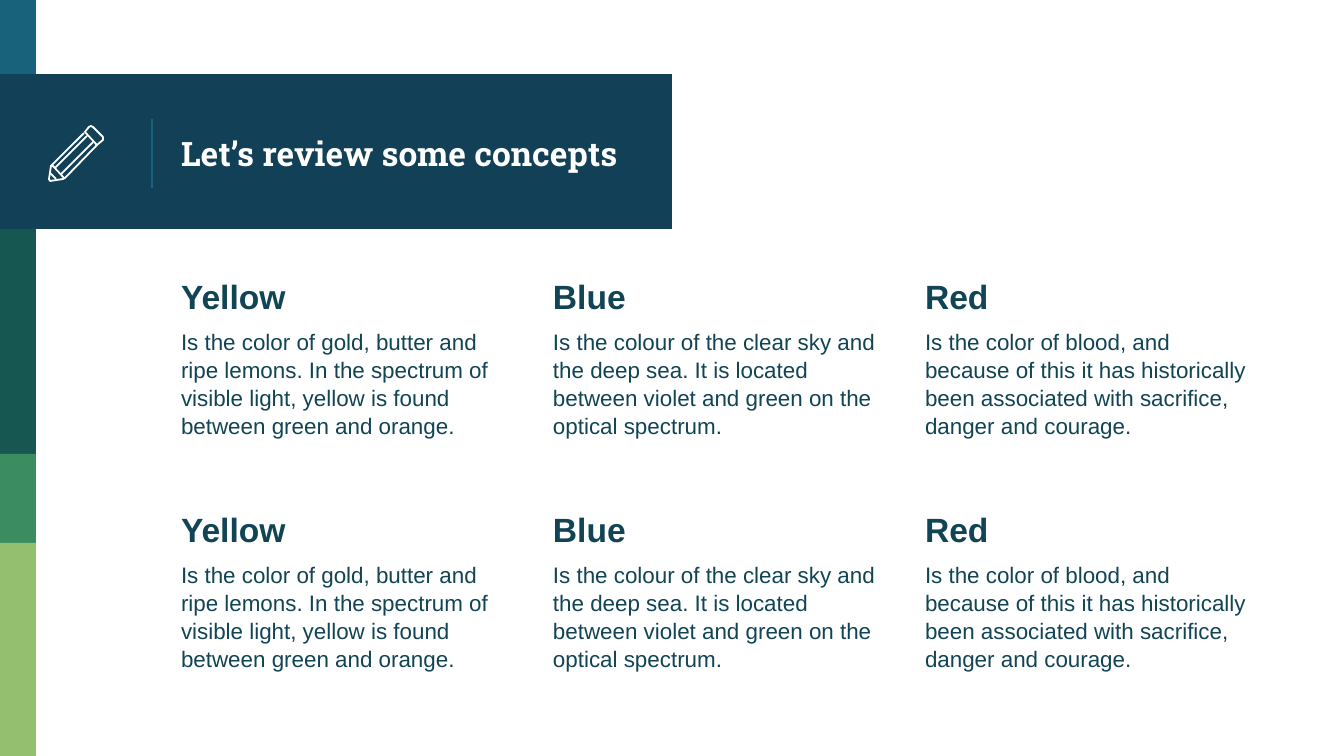
from dataclasses import dataclass

from lxml.etree import SubElement
from pptx import Presentation
from pptx.dml.color import RGBColor
from pptx.enum.shapes import MSO_CONNECTOR as Connector, MSO_SHAPE as Shape
from pptx.enum.text import MSO_ANCHOR as Anchor, MSO_AUTO_SIZE as AutoSize, PP_ALIGN as Align
from pptx.oxml.ns import qn
from pptx.util import Emu, Pt

SCALE = 914400 / 134.4  # EMU in one pixel
WIDTH, HEIGHT = 1344, 756
INSET = 13

WHITE = RGBColor(0xFF, 0xFF, 0xFF)
TEAL = RGBColor(0x18, 0x63, 0x7B)
NAVY = RGBColor(0x12, 0x40, 0x57)
FOREST = RGBColor(0x16, 0x57, 0x51)
GREEN = RGBColor(0x3B, 0x8D, 0x61)
LIME = RGBColor(0x94, 0xBF, 0x6E)
INK = RGBColor(0x11, 0x44, 0x54)


@dataclass
class Band:
    top: int
    bottom: int
    width: int
    color: RGBColor


@dataclass
class Concept:
    name: str
    meaning: str


@dataclass
class Stroke:
    points: list[tuple[int, int]]
    closed: bool = False


BANDS = [
    Band(0, 74, 36, TEAL),
    Band(74, 229, 672, NAVY),
    Band(229, 454, 36, FOREST),
    Band(454, 543, 36, GREEN),
    Band(543, HEIGHT, 36, LIME),
]

CONCEPTS = [
    Concept("Yellow", "Is the color of gold, butter and ripe lemons. In the spectrum of "
            "visible light, yellow is found between green and orange."),
    Concept("Blue", "Is the colour of the clear sky and the deep sea. It is located "
            "between violet and green on the optical spectrum."),
    Concept("Red", "Is the color of blood, and because of this it has historically "
            "been associated with sacrifice, danger and courage."),
]

PENCIL = [
    Stroke([(85, 132), (89, 127), (91, 126), (93, 127), (103, 137),
            (103, 140), (97, 145)], closed=True),  # eraser
    Stroke([(84, 133), (52, 165), (51, 166), (49, 179), (50, 181),
            (63, 179), (65, 178), (97, 145)]),  # body
    Stroke([(93, 142), (61, 174)]),
    Stroke([(55, 168), (87, 136)]),
    Stroke([(56, 179), (50, 173)]),  # lead
    Stroke([(52, 165), (64, 178)]),
]


def px(pixels: float) -> Emu:
    return Emu(round(pixels * SCALE))


def add_band(page, band: Band) -> None:
    shape = page.shapes.add_shape(Shape.RECTANGLE, 0, px(band.top), px(band.width),
                                  px(band.bottom - band.top))
    shape.shadow.inherit = False
    shape.fill.solid()
    shape.fill.fore_color.rgb = band.color
    shape.line.fill.background()


def add_divider(page, x: int, top: int, bottom: int) -> None:
    line = page.shapes.add_connector(Connector.STRAIGHT, px(x), px(top), px(x), px(bottom))
    line.line.color.rgb = TEAL
    line.line.width = Pt(0.75)
    SubElement(line.element.spPr, qn("a:effectLst"))


def add_stroke(group, stroke: Stroke) -> None:
    start, *rest = stroke.points
    builder = group.shapes.build_freeform(*start, scale=SCALE)
    builder.add_line_segments(rest, close=stroke.closed)
    shape = builder.convert_to_shape()
    shape.shadow.inherit = False
    shape.fill.background()
    shape.line.color.rgb = WHITE
    shape.line.width = Pt(0.96)


def set_frame(frame, anchor: Anchor) -> None:
    frame.word_wrap = True
    frame.auto_size = AutoSize.NONE
    frame.vertical_anchor = anchor
    frame.margin_left = frame.margin_right = px(INSET)
    frame.margin_top = frame.margin_bottom = px(INSET)


def set_font(para, name: str, size: int, bold: bool, color: RGBColor) -> None:
    para.alignment = Align.LEFT
    para.font.name = name
    para.font.size = Pt(size)
    para.font.bold = bold
    para.font.color.rgb = color


def place_title(page, text: str) -> None:
    title = page.shapes.title
    title.left, title.top, title.width, title.height = px(168), px(78), px(472), px(151)
    title.text_frame.text = text
    set_frame(title.text_frame, Anchor.MIDDLE)
    set_font(title.text_frame.paragraphs[0], "Roboto Slab", 18, True, WHITE)
    page.shapes.element.append(title.element)  # bring in front of the banner


def add_concept(page, concept: Concept, left: int, top: int) -> None:
    box = page.shapes.add_textbox(px(left), px(top), px(355), px(192))
    frame = box.text_frame
    frame.text = f"{concept.name}\n{concept.meaning}"
    set_frame(frame, Anchor.TOP)
    heading, body = frame.paragraphs
    set_font(heading, "Arial", 18, True, INK)
    set_font(body, "Arial", 12, False, INK)
    for para in frame.paragraphs:
        para.space_before = Pt(6)
        para.line_spacing = 1.04


deck = Presentation()
deck.slide_width, deck.slide_height = px(WIDTH), px(HEIGHT)
page = deck.slides.add_slide(deck.slide_layouts[5])

# Side stripe and banner
for band in BANDS:
    add_band(page, band)
add_divider(page, 152, 119, 188)
place_title(page, "Let’s review some concepts")

# Two rows of three concepts
for row in range(2):
    for column, concept in enumerate(CONCEPTS):
        add_concept(page, concept, 168 + 372 * column, 261 + 233 * row)

# Pencil icon
pencil = page.shapes.add_group_shape()
for stroke in PENCIL:
    add_stroke(pencil, stroke)

deck.save("out.pptx")
